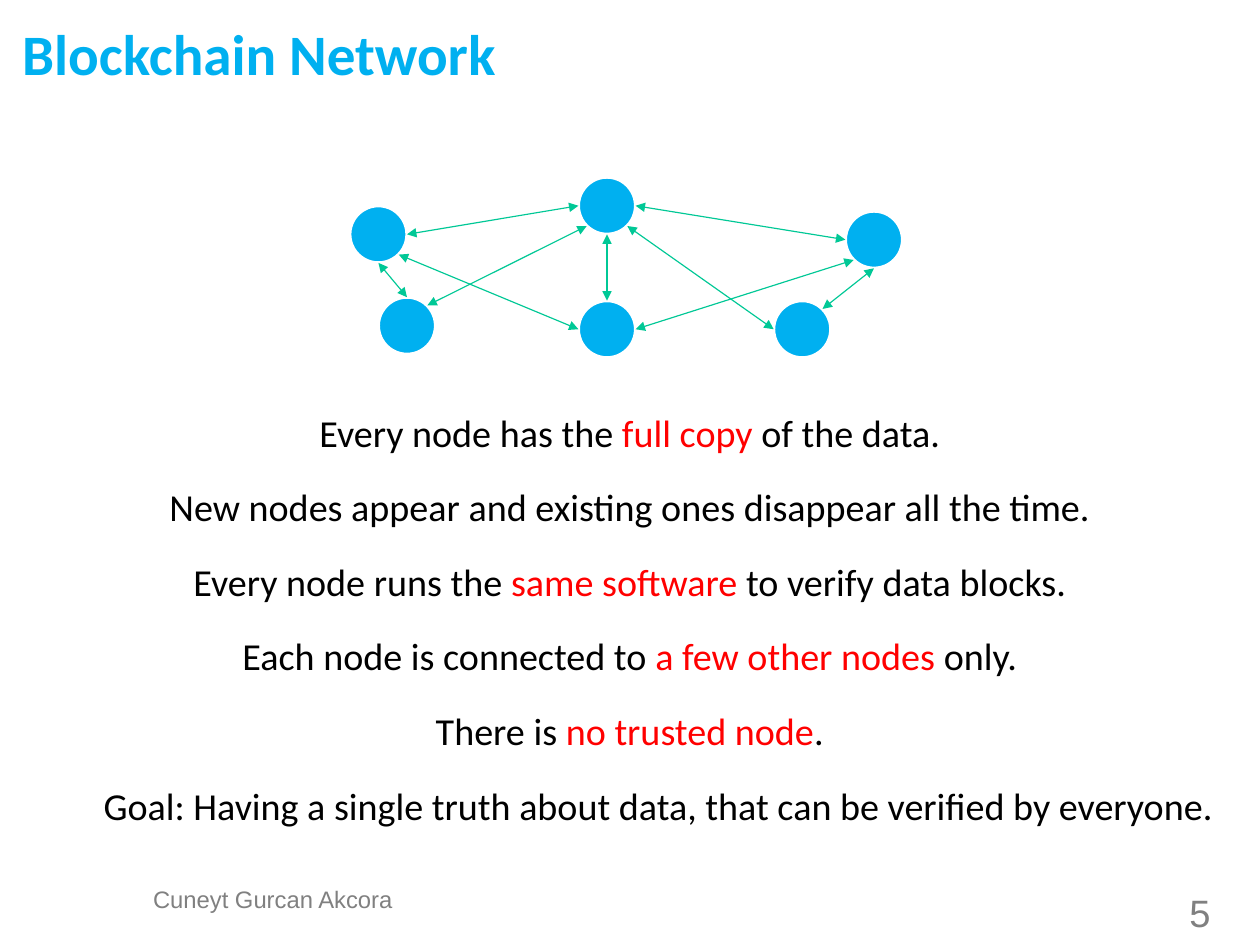
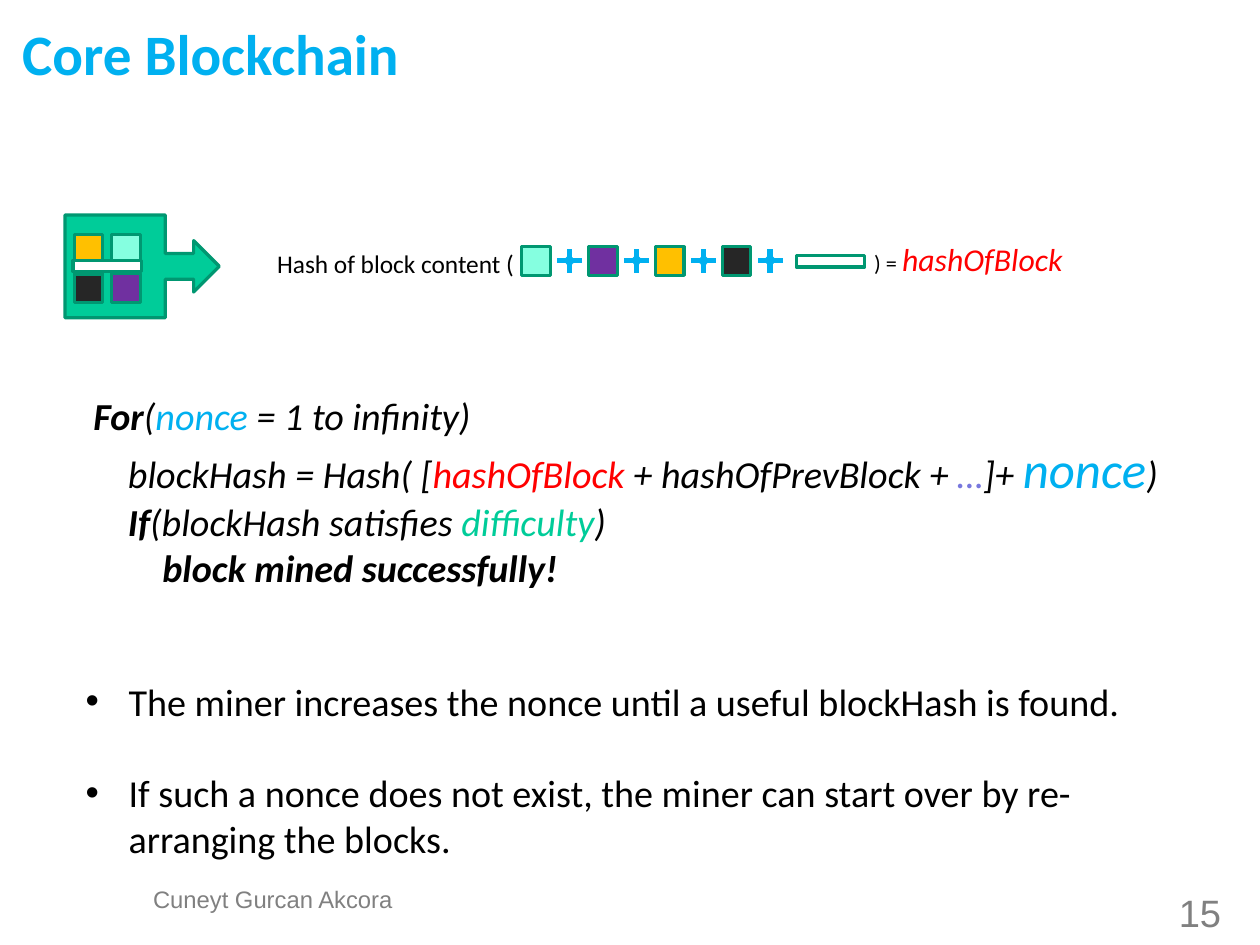
from lxml.etree import SubElement
from pptx import Presentation
from pptx.dml.color import RGBColor
from pptx.enum.shapes import MSO_CONNECTOR as Connector, MSO_SHAPE as Shape
from pptx.enum.text import MSO_ANCHOR as Anchor, MSO_AUTO_SIZE as AutoSize, PP_ALIGN as Align
from pptx.oxml.ns import qn
from pptx.util import Pt

SLIDE_SIZE = (793.75, 595.25)
SKY, RED, GREEN, GREY = "00B0F0", "FF0000", "00CC99", "808080"
BLACK, WHITE, EDGE, BLOCK_EDGE = "000000", "FFFFFF", "00C896", "009771"
AMBER, MINT, COAL, PURPLE = "FFC000", "85FFE0", "262626", "7030A0"
AUTHOR = "Cuneyt Gurcan Akcora"

# A paragraph is a list of runs: (text, style changes)
FACTS = [
    [("Every node has the ", {}), ("full copy", {"color": RED}), (" of the data.", {})],
    [("New nodes appear and existing ones disappear all the time.", {})],
    [("Every node runs the ", {}), ("same software", {"color": RED}),
     (" to verify data blocks.", {})],
    [("Each node is connected to ", {}), ("a few other nodes", {"color": RED}), (" only.", {})],
    [("There is ", {}), ("no trusted node", {"color": RED}), (".", {})],
]
GOAL = [("Goal: Having a single truth about data, that can be verified by everyone.", {})]

NODE_SIZE = 36
NODES = {
    "left": (220.4, 129.6), "top": (364.4, 111.6), "right": (532.6, 133),
    "lower left": (238.4, 187.2), "bottom": (364.4, 189.4), "lower right": (487.4, 189.4),
}
# (node, compass point) at either end
LINKS = [
    (("left", "SE"), ("bottom", "W")), (("left", "E"), ("top", "W")),
    (("top", "E"), ("right", "W")), (("bottom", "E"), ("right", "SW")),
    (("bottom", "N"), ("top", "S")), (("lower left", "N"), ("left", "S")),
    (("lower left", "NE"), ("top", "SW")), (("lower right", "NE"), ("right", "S")),
    (("top", "SE"), ("lower right", "W")),
]

# (indent level, runs)
MINING_CODE = [
    (0, [("For", {"bold": True}), ("(", {}), ("nonce", {"color": SKY}),
         (" = 1 to infinity)", {})]),
    (1, [("blockHash = Hash( [", {}), ("hashOfBlock", {"color": RED}),
         (" + hashOfPrevBlock + ", {}), ("…", {"color": "7878DE"}), ("]+ ", {}),
         ("nonce", {"color": SKY, "size": 32}), (")", {})]),
    (1, [("If", {"bold": True}), ("(blockHash satisfies ", {}),
         ("difficulty", {"color": GREEN}), (")", {})]),
    (2, [("block mined successfully!", {"bold": True})]),
]
MINER_NOTES = [
    [("The miner increases the nonce until a useful blockHash is found.", {})],
    [("If such a nonce does not exist, the miner can start over by re-arranging the blocks.", {})],
]
PART_SIZE = 18
BLOCK_PARTS = [(AMBER, 46.8, 147.6), (MINT, 70.4, 147.6), (COAL, 46.8, 172.6), (PURPLE, 70.4, 172.4)]
HASHED_PARTS = [MINT, PURPLE, AMBER, COAL]
HASH_LEFT, HASH_PITCH = 328.7, 42.1
NONCE_BAR = (43.2, 7.2)


def rgb(color):
    return RGBColor.from_string(color)


def add_runs(paragraph, runs, size=24, color=BLACK, font="Calibri", bold=False, italic=False):
    for text, changes in runs:
        run = paragraph.add_run()
        run.text = text
        run.font.name = font
        run.font.size = Pt(changes.get("size", size))
        run.font.bold = changes.get("bold", bold)
        run.font.italic = changes.get("italic", italic)
        run.font.color.rgb = rgb(changes.get("color", color))


def set_indent(paragraph, left, hanging=0, bullet=None):
    properties = paragraph._p.get_or_add_pPr()
    properties.set("marL", str(Pt(left)))
    properties.set("indent", str(-Pt(hanging)))
    if bullet:
        SubElement(properties, qn("a:buFont")).set("typeface", "Arial")
        SubElement(properties, qn("a:buChar")).set("char", bullet)
    else:
        SubElement(properties, qn("a:buNone"))


def place(shape, left, top, width, height):
    shape.left, shape.top, shape.width, shape.height = map(Pt, (left, top, width, height))


def prepare_frame(shape, inset=True, wrap=True):
    frame = shape.text_frame
    frame.word_wrap = wrap
    frame.auto_size = AutoSize.NONE
    frame.vertical_anchor = Anchor.TOP
    if not inset:
        frame.margin_left = frame.margin_top = frame.margin_right = frame.margin_bottom = 0
    return frame


def add_text(slide, box, runs, align=Align.LEFT, inset=True, wrap=True, spacing=None, **style):
    frame = prepare_frame(slide.shapes.add_textbox(*map(Pt, box)), inset, wrap)
    paragraph = frame.paragraphs[0]
    paragraph.alignment = align
    paragraph.line_spacing = spacing
    add_runs(paragraph, runs, **style)


def fill_body(slide, box, paragraphs, gap, align=Align.LEFT, hanging=0, bullet=None):
    body = slide.placeholders[1]
    place(body, *box)
    frame = prepare_frame(body)
    for index, runs in enumerate(paragraphs):
        paragraph = frame.add_paragraph() if index else frame.paragraphs[0]
        paragraph.alignment = align
        paragraph.space_before = Pt(gap if index else 0)
        set_indent(paragraph, hanging, hanging, bullet)
        add_runs(paragraph, runs)


def add_shape(slide, kind, box, fill, line):
    shape = slide.shapes.add_shape(kind, *map(Pt, box))
    shape.shadow.inherit = False
    shape.fill.solid()
    shape.fill.fore_color.rgb = rgb(fill)
    shape.line.color.rgb = rgb(line)
    shape.line.width = Pt(2)


def compass_point(node, direction):
    """Point on the node's circle in the given direction."""
    left, top = NODES[node]
    reach = NODE_SIZE / 2 * (0.71 if len(direction) == 2 else 1)
    across = ("E" in direction) - ("W" in direction)
    down = ("S" in direction) - ("N" in direction)
    return left + NODE_SIZE / 2 + across * reach, top + NODE_SIZE / 2 + down * reach


def add_link(slide, start, end):
    points = compass_point(*start) + compass_point(*end)
    link = slide.shapes.add_connector(Connector.STRAIGHT, *map(Pt, points))
    link.line.color.rgb = rgb(EDGE)
    link.line.width = Pt(0.75)
    line = link.line._get_or_add_ln()
    for tag in ("a:headEnd", "a:tailEnd"):
        SubElement(line, qn(tag)).set("type", "triangle")
    SubElement(link._element.spPr, qn("a:effectLst"))


def add_slide(presentation, title, number):
    slide = presentation.slides.add_slide(presentation.slide_layouts[1])
    place(slide.shapes.title, 14, 10.8, 714, 39.6)
    paragraph = prepare_frame(slide.shapes.title, inset=False).paragraphs[0]
    paragraph.alignment = Align.LEFT
    paragraph.line_spacing = 1.02
    add_runs(paragraph, [(title, {})], size=36, color=SKY, bold=True)
    footer_style = dict(align=Align.CENTER, inset=False, spacing=0.93, font="Arial", color=GREY)
    add_text(slide, (93.8, 558.7, 156.2, 26.6), [(AUTHOR, {})], size=15, **footer_style)
    add_text(slide, (720, 562.7, 72, 28.8), [(str(number), {})], size=24, **footer_style)
    return slide


def build_network(presentation):
    slide = add_slide(presentation, "Blockchain Network", 5)
    for left, top in NODES.values():
        add_shape(slide, Shape.OVAL, (left, top, NODE_SIZE, NODE_SIZE), SKY, WHITE)
    for start, end in LINKS:
        add_link(slide, start, end)
    fill_body(slide, (36.7, 254, 720, 232), FACTS, gap=18.2, align=Align.CENTER)
    add_text(slide, (54.7, 489, 720, 36), GOAL, align=Align.CENTER)


def build_core(presentation):
    slide = add_slide(presentation, "Core Blockchain", 15)

    add_shape(slide, Shape.RIGHT_ARROW_CALLOUT, (41, 135.4, 97.2, 64.8), GREEN, BLOCK_EDGE)
    for color, left, top in BLOCK_PARTS:
        add_shape(slide, Shape.RECTANGLE, (left, top, PART_SIZE, PART_SIZE), color, BLOCK_EDGE)
    add_shape(slide, Shape.RECTANGLE, (46, 164, *NONCE_BAR), WHITE, BLOCK_EDGE)

    add_text(slide, (167.5, 152.6, 166.3, 26.6), [("Hash of block content (", {})],
             wrap=False, size=16)
    for index, color in enumerate(HASHED_PARTS):
        left = HASH_LEFT + index * HASH_PITCH
        add_shape(slide, Shape.RECTANGLE, (left, 155.5, PART_SIZE, PART_SIZE), color, BLOCK_EDGE)
        add_shape(slide, Shape.MATH_PLUS, (left + PART_SIZE, 152.8, 24.4, 23), SKY, WHITE)
    add_shape(slide, Shape.RECTANGLE, (501.6, 161, *NONCE_BAR), WHITE, BLOCK_EDGE)
    add_text(slide, (543.6, 147.6, 201.6, 31.7),
             [(") = ", {}), ("hashOfBlock", {"size": 20, "color": RED, "italic": True})], size=14)

    code_box = slide.shapes.add_textbox(*map(Pt, (51.8, 243.4, 694, 133)))
    frame = prepare_frame(code_box, wrap=False)
    for index, (level, runs) in enumerate(MINING_CODE):
        paragraph = frame.add_paragraph() if index else frame.paragraphs[0]
        set_indent(paragraph, level * 21.7)
        add_runs(paragraph, runs, italic=True)

    fill_body(slide, (46.8, 423.4, 710, 124), MINER_NOTES, gap=28.8, hanging=27, bullet="•")


def main():
    presentation = Presentation()
    presentation.slide_width, presentation.slide_height = map(Pt, SLIDE_SIZE)
    build_network(presentation)
    build_core(presentation)
    presentation.save("out.pptx")


if __name__ == "__main__":
    main()
